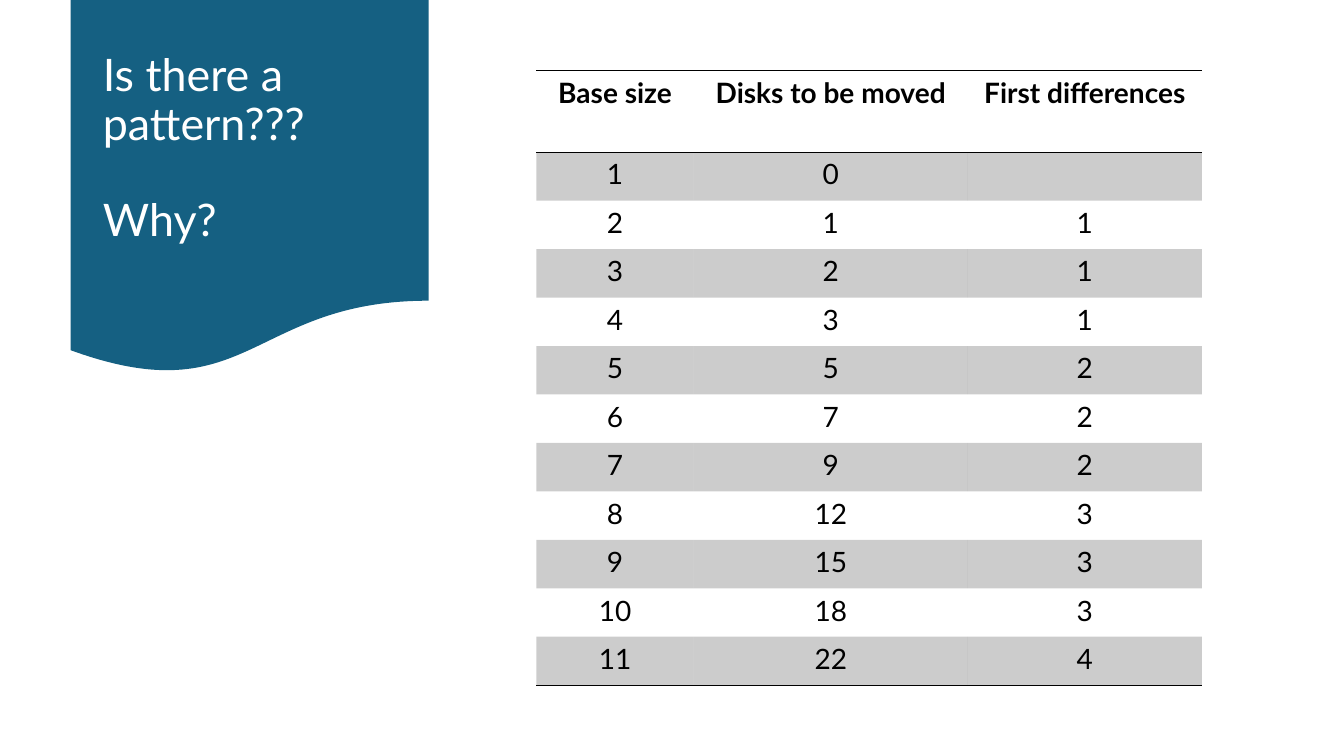
from lxml.etree import SubElement
from pptx import Presentation
from pptx.dml.color import RGBColor
from pptx.enum.shapes import MSO_SHAPE
from pptx.enum.text import MSO_ANCHOR, PP_ALIGN
from pptx.oxml import parse_xml
from pptx.oxml.ns import nsdecls, qn
from pptx.util import Inches, Pt

TITLE = ["Is there a pattern???", "Why?"]
HEADERS = ("Base size", "Disks to be moved", "First differences")
DISKS_MOVED = (0, 1, 2, 3, 5, 7, 9, 12, 15, 18, 22)
DIFFERENCES = [""] + [after - before for before, after in zip(DISKS_MOVED, DISKS_MOVED[1:])]
ROWS = [HEADERS] + list(zip(range(1, len(DISKS_MOVED) + 1), DISKS_MOVED, DIFFERENCES))

FONT = "Lato"
BLUE = RGBColor(0x15, 0x60, 0x82)
WHITE = RGBColor(0xFF, 0xFF, 0xFF)
BLACK = RGBColor(0, 0, 0)
BAND_OPACITY = 20
PLAIN_STYLE = "{2D5ABB26-0587-4C30-8999-92F81FD0307C}"

BANNER = (0.7, 0, 3.55, 3.72)
TITLE_AREA = (0.92, 0.19, 3.11, 2.59)
TABLE_AREA = (5.32, 0.7, 6.6, 6.1)
COLUMN_WIDTHS = (1.56, 2.72, 2.32)
HEADER_HEIGHT = 0.81
ROW_HEIGHT = (TABLE_AREA[3] - HEADER_HEIGHT) / len(DISKS_MOVED)


def inches(area):
    return [Inches(length) for length in area]


def style(font, size, color, bold=False):
    font.name = FONT
    font.size = Pt(size)
    font.bold = bold
    font.color.rgb = color


def add_banner(page):
    banner = page.shapes.add_shape(MSO_SHAPE.FLOWCHART_DOCUMENT, *inches(BANNER))
    banner.shadow.inherit = False
    banner.fill.solid()
    banner.fill.fore_color.rgb = BLUE
    banner.line.fill.background()
    page.shapes._spTree.insert(2, banner._element)


def add_title(page):
    title = page.shapes.title
    title.left, title.top, title.width, title.height = inches(TITLE_AREA)
    frame = title.text_frame
    frame.text = "\n".join(TITLE)
    frame.word_wrap = True
    frame.vertical_anchor = MSO_ANCHOR.MIDDLE
    for index, para in enumerate(frame.paragraphs):
        para.alignment = PP_ALIGN.LEFT
        para.line_spacing = 0.9
        para.space_before = Pt(34.5 if index else 0)
        style(para.runs[0].font, 32, WHITE)


def add_rule(cell, side):
    cell._tc.get_or_add_tcPr().append(parse_xml(
        f'<a:{side} {nsdecls("a")} w="{Pt(1)}"><a:solidFill>'
        f'<a:srgbClr val="{BLACK}"/></a:solidFill></a:{side}>'))


def fill_band(cell):
    cell.fill.solid()
    cell.fill.fore_color.rgb = BLACK
    color = cell._tc.tcPr.find(qn("a:solidFill")).find(qn("a:srgbClr"))
    SubElement(color, qn("a:alpha"), val=str(BAND_OPACITY * 1000))


def add_results(page):
    frame = page.shapes.add_table(len(ROWS), len(HEADERS), *inches(TABLE_AREA))
    table = frame.table
    table._tbl.tblPr.find(qn("a:tableStyleId")).text = PLAIN_STYLE
    for column, width in zip(table.columns, COLUMN_WIDTHS):
        column.width = Inches(width)
    for row_index, values in enumerate(ROWS):
        is_header = row_index == 0
        table.rows[row_index].height = Inches(HEADER_HEIGHT if is_header else ROW_HEIGHT)
        for cell, value in zip(table.rows[row_index].cells, values):
            cell.text = str(value)
            para = cell.text_frame.paragraphs[0]
            para.alignment = PP_ALIGN.CENTER
            for span in para.runs:
                style(span.font, 20, BLACK, is_header)
            if is_header:
                add_rule(cell, "lnT")
            if is_header or row_index == len(ROWS) - 1:
                add_rule(cell, "lnB")
            if row_index % 2:
                fill_band(cell)
            else:
                cell.fill.background()


def main():
    deck = Presentation()
    deck.slide_width, deck.slide_height = Inches(13.33), Inches(7.5)
    page = deck.slides.add_slide(deck.slide_layouts[5])
    add_banner(page)
    add_title(page)
    add_results(page)
    deck.save("out.pptx")


if __name__ == "__main__":
    main()
